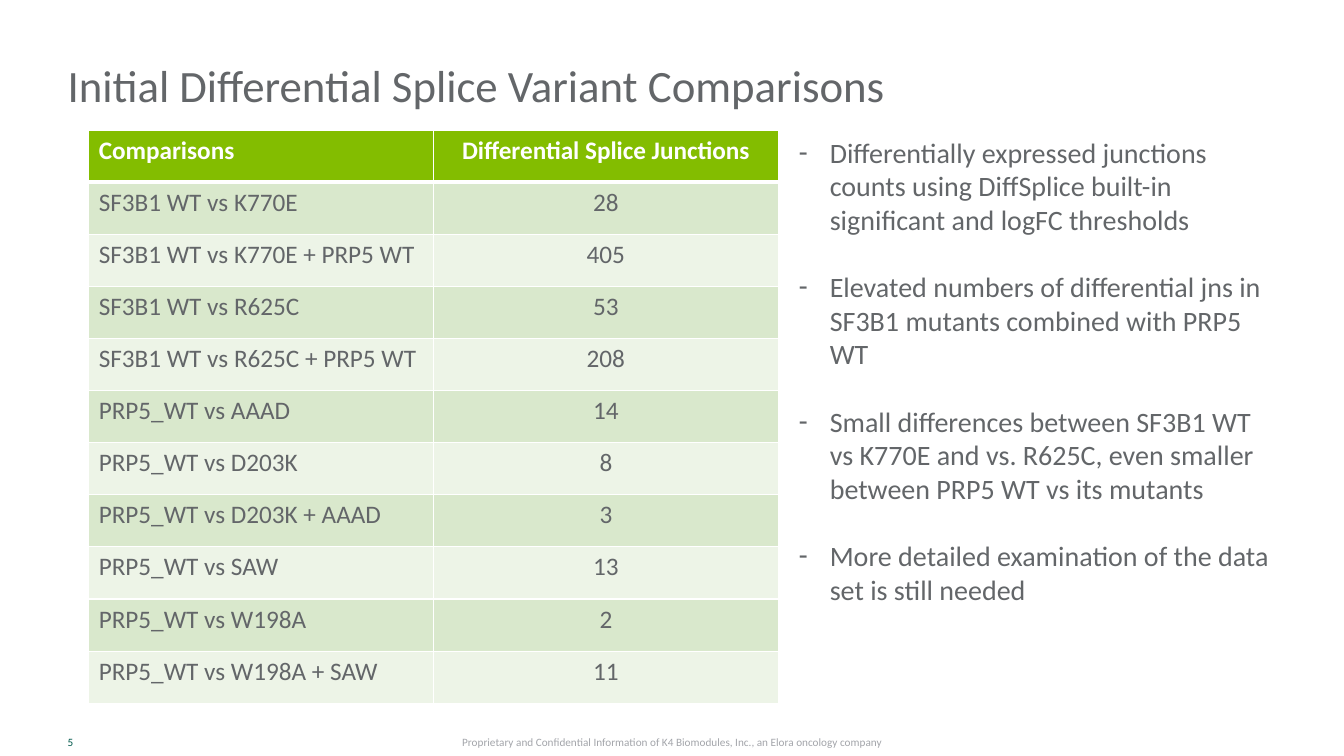
import pptx
import pptx.util
import pptx.dml.color
import pptx.enum.text
from lxml import etree
from pptx.oxml.ns import qn

Inches, Pt = pptx.util.Inches, pptx.util.Pt
ALIGN = pptx.enum.text.PP_ALIGN
ANCHOR = pptx.enum.text.MSO_ANCHOR
FONT = "Calibri"
HEX = {"text": "636669", "white": "FFFFFF", "head": "83BD00", "odd": "D9E8CC",
       "even": "EDF4E7", "page": "00594C", "foot": "A3A5AA"}

HEAD = ("Comparisons", "Differential Splice Junctions")
ROWS = [
    ("SF3B1 WT vs K770E", 28),
    ("SF3B1 WT vs K770E + PRP5 WT", 405),
    ("SF3B1 WT vs R625C", 53),
    ("SF3B1 WT vs R625C + PRP5 WT", 208),
    ("PRP5_WT vs AAAD", 14),
    ("PRP5_WT vs D203K", 8),
    ("PRP5_WT vs D203K + AAAD", 3),
    ("PRP5_WT vs SAW", 13),
    ("PRP5_WT vs W198A", 2),
    ("PRP5_WT vs W198A + SAW", 11),
]
NOTES = [
    "Differentially expressed junctions counts using DiffSplice built-in "
    "significant and logFC thresholds",
    "Elevated numbers of differential jns in SF3B1 mutants combined with PRP5 WT",
    "Small differences between SF3B1 WT vs K770E and vs. R625C, even smaller "
    "between PRP5 WT vs its mutants",
    "More detailed examination of the data set is still needed",
]


def color(key):
    return pptx.dml.color.RGBColor.from_string(HEX[key])


def add_run(para, text, size, key, bold=False):
    run = para.add_run()
    run.text = text
    font = run.font
    font.name, font.size, font.bold = FONT, Pt(size), bold
    font.color.rgb = color(key)


def place(shape, left, top, width, height):
    shape.left, shape.top = Inches(left), Inches(top)
    shape.width, shape.height = Inches(width), Inches(height)


def set_frame(frame, anchor, left=0.1, right=0.1):
    frame.word_wrap = True
    frame.auto_size = pptx.enum.text.MSO_AUTO_SIZE.NONE
    frame.vertical_anchor = anchor
    frame.margin_left, frame.margin_right = Inches(left), Inches(right)
    frame.margin_top = frame.margin_bottom = Inches(0.05)


def add_title(shape, text):
    place(shape, 0.67, 0, 10.42, 1.16)
    set_frame(shape.text_frame, ANCHOR.BOTTOM, left=0)
    para = shape.text_frame.paragraphs[0]
    para.alignment = ALIGN.LEFT
    para.line_spacing = Pt(36)
    add_run(para, text, 32, "text")


def add_list(shape, items):
    place(shape, 7.82, 1.29, 4.93, 5.15)
    frame = shape.text_frame
    set_frame(frame, ANCHOR.TOP)
    for num, item in enumerate(items):
        para = frame.add_paragraph() if num else frame.paragraphs[0]
        para.space_before = Pt(24 if num else 0)
        props = para._p.get_or_add_pPr()
        props.set("marL", str(Inches(0.31)))
        props.set("indent", str(Inches(-0.31)))
        etree.SubElement(props, qn("a:buChar"), char="-")
        add_run(para, item, 20, "text")


def add_edges(cell, top, base):
    props = cell._tc.get_or_add_tcPr()
    for side, width in (("L", 1), ("R", 1), ("T", top), ("B", base)):
        line = etree.SubElement(props, qn("a:ln" + side), w=str(Pt(width)))
        fill = etree.SubElement(line, qn("a:solidFill"))
        etree.SubElement(fill, qn("a:srgbClr"), val=HEX["white"])


def add_grid(slide, rows):
    frame = slide.shapes.add_table(len(rows), 2, Inches(0.88), Inches(1.29),
                                   Inches(6.84), Inches(5.69))
    for num, row in enumerate(rows):
        shade = "odd" if num % 2 else "even"
        for col, value in enumerate(row):
            cell = frame.table.cell(num, col)
            # The rule under the header is thicker
            add_edges(cell, 3 if num == 1 else 1, 1 if num else 3)
            cell.fill.solid()
            cell.fill.fore_color.rgb = color(shade if num else "head")
            para = cell.text_frame.paragraphs[0]
            para.alignment = ALIGN.CENTER if col else ALIGN.LEFT
            add_run(para, str(value), 18, "text" if num else "white", num == 0)


def add_label(slide, left, width, text, key, align, inset):
    box = slide.shapes.add_textbox(Inches(left), Inches(7.22),
                                   Inches(width), Inches(0.28))
    set_frame(box.text_frame, ANCHOR.MIDDLE, inset, inset)
    para = box.text_frame.paragraphs[0]
    para.alignment = align
    add_run(para, text, 8, key)


def main():
    deck = pptx.Presentation()
    deck.slide_width, deck.slide_height = Inches(13.33), Inches(7.5)
    slide = deck.slides.add_slide(deck.slide_layouts[1])

    # Title, table and findings
    add_title(slide.shapes.title, "Initial Differential Splice Variant Comparisons")
    add_grid(slide, [HEAD] + ROWS)
    add_list(slide.placeholders[1], NOTES)

    # Page number and footer
    add_label(slide, 0.67, 0.67, "5", "page", ALIGN.LEFT, 0)
    add_label(slide, 4.24, 4.86,
              "Proprietary and Confidential Information of K4 Biomodules, Inc., "
              "an Elora oncology company", "foot", ALIGN.CENTER, 0.1)
    deck.save("out.pptx")


if __name__ == "__main__":
    main()
